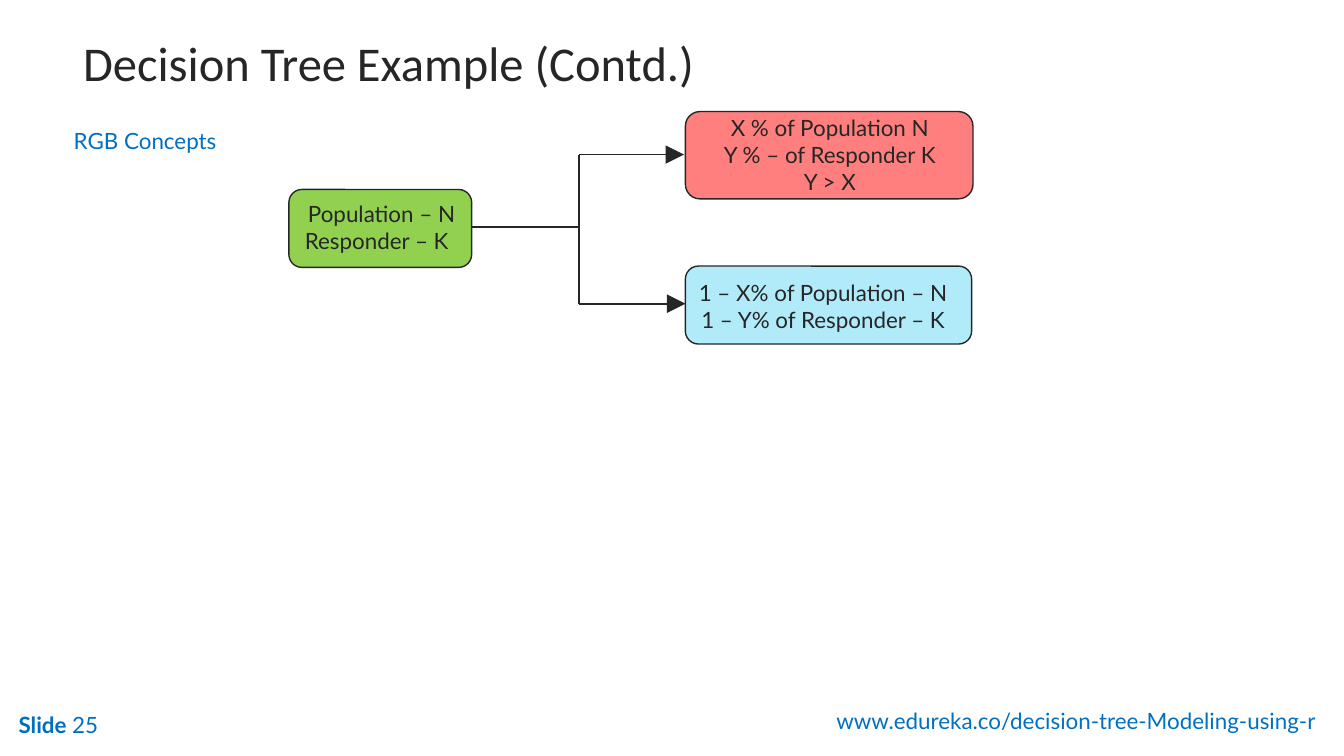
import pptx
import pptx.dml.color
import pptx.enum.shapes
import pptx.enum.text
import pptx.oxml
import pptx.oxml.ns
import pptx.util
from lxml import etree

Inches = pptx.util.Inches
ALIGN = pptx.enum.text.PP_ALIGN
ANCHOR = pptx.enum.text.MSO_ANCHOR
COLORS = {
    "ink": "262626",
    "blue": "0070C0",
    "red": "FF0000",
    "sky": "B1EBF9",
    "green": "92D050",
}


def color(name):
    return pptx.dml.color.RGBColor.from_string(COLORS[name])


def add_child(parent, tag, **attributes):
    return etree.SubElement(parent, pptx.oxml.ns.qn(tag), **attributes)


def style_run(run, ink, size, font):
    run.font.size = pptx.util.Pt(size)
    run.font.name = font
    run.font.color.rgb = color(ink)


def add_text(slide, box, lines, ink="ink", size=12, font="Lato",
             align=ALIGN.LEFT, anchor=ANCHOR.TOP, wrap=True):
    shape = slide.shapes.add_textbox(*map(Inches, box))
    frame = shape.text_frame
    frame.text = "\n".join(lines)
    frame.word_wrap = wrap
    frame.vertical_anchor = anchor
    for paragraph in frame.paragraphs:
        paragraph.alignment = align
        for run in paragraph.runs:
            style_run(run, ink, size, font)
    return frame


def add_node(slide, box, fill, text_box, lines, opacity=None):
    shape = slide.shapes.add_shape(
        pptx.enum.shapes.MSO_SHAPE.ROUNDED_RECTANGLE, *map(Inches, box))
    shape.shadow.inherit = False
    shape.fill.solid()
    shape.fill.fore_color.rgb = color(fill)
    shape.line.color.rgb = color("ink")
    shape.line.width = pptx.util.Pt(0.75)
    if opacity is not None:
        fill_color = shape._element.spPr.find(".//" + pptx.oxml.ns.qn("a:srgbClr"))
        add_child(fill_color, "a:alpha", val=str(opacity * 1000))
    return add_text(slide, text_box, lines, align=ALIGN.CENTER, wrap=False)


def add_branch(slide, start, end, arrow=False):
    connector = slide.shapes.add_connector(
        pptx.enum.shapes.MSO_CONNECTOR.STRAIGHT, *map(Inches, start + end))
    connector.line.color.rgb = color("ink")
    connector.line.width = pptx.util.Pt(1)
    properties = connector._element.spPr
    if arrow:
        line = properties.find(pptx.oxml.ns.qn("a:ln"))
        add_child(line, "a:tailEnd", type="triangle", w="lg", len="lg")
    add_child(properties, "a:effectLst")


def add_heading(slide, left, top):
    add_text(slide, (left + 0.07, top, 8.62, 0.56), ["Decision Tree Example (Contd.)"],
             size=26, font="Calibri", anchor=ANCHOR.MIDDLE)
    subtitle = add_text(slide, (left, top + 0.62, 1.91, 0.36), ["RGB Concepts"], "blue")
    subtitle.paragraphs[0].line_spacing = 1.5


def add_tree(slide, left, top):
    def place(x, y, *size):
        return (left + x, top + y, *size)

    add_node(slide, place(2.95, 0.03, 2.14, 0.65), "red", place(3.1, 0, 1.85, 0.71),
             ["X % of Population N", "Y % – of Responder K", "Y > X"], opacity=50)
    add_node(slide, place(2.95, 1.18, 2.13, 0.58), "sky", place(2.93, 1.23, 2.09, 0.5),
             ["1 – X% of Population – N", "1 – Y% of Responder – K"])
    root = add_node(slide, place(0, 0.61, 1.36, 0.58), "green", place(0.02, 0.64, 1.34, 0.52),
                    ["Population – N", "Responder – K"])
    root.paragraphs[1].alignment = ALIGN.LEFT

    fork, upper, middle, lower = 2.16, 0.35, 0.89, 1.46
    add_branch(slide, place(fork, upper), place(2.94, upper), arrow=True)
    add_branch(slide, place(fork, lower), place(2.95, lower), arrow=True)
    add_branch(slide, place(fork, upper), place(fork, lower))
    add_branch(slide, place(fork, middle), place(1.36, middle))


def add_footer(slide, left, top):
    add_text(slide, (left + 5.58, top, 4.27, 0.3),
             ["www.edureka.co/decision-tree-Modeling-using-r"], "blue", align=ALIGN.RIGHT)
    number = add_text(slide, (left, top + 0.03, 1.58, 0.3), ["Slide "], "blue")
    paragraph = number.paragraphs[0]
    paragraph.runs[0].font.bold = True
    run = paragraph.add_run()
    run.text = "25"
    style_run(run, "blue", 12, "Lato")


def main():
    presentation = pptx.Presentation()
    presentation.slide_width = Inches(10)
    presentation.slide_height = Inches(10 * 9 / 16)
    slide = presentation.slides.add_slide(presentation.slide_layouts[6])
    add_footer(slide, 0.04, 5.21)
    add_heading(slide, 0.45, 0.18)
    add_tree(slide, 2.15, 0.8)
    presentation.save("out.pptx")


if __name__ == "__main__":
    main()
